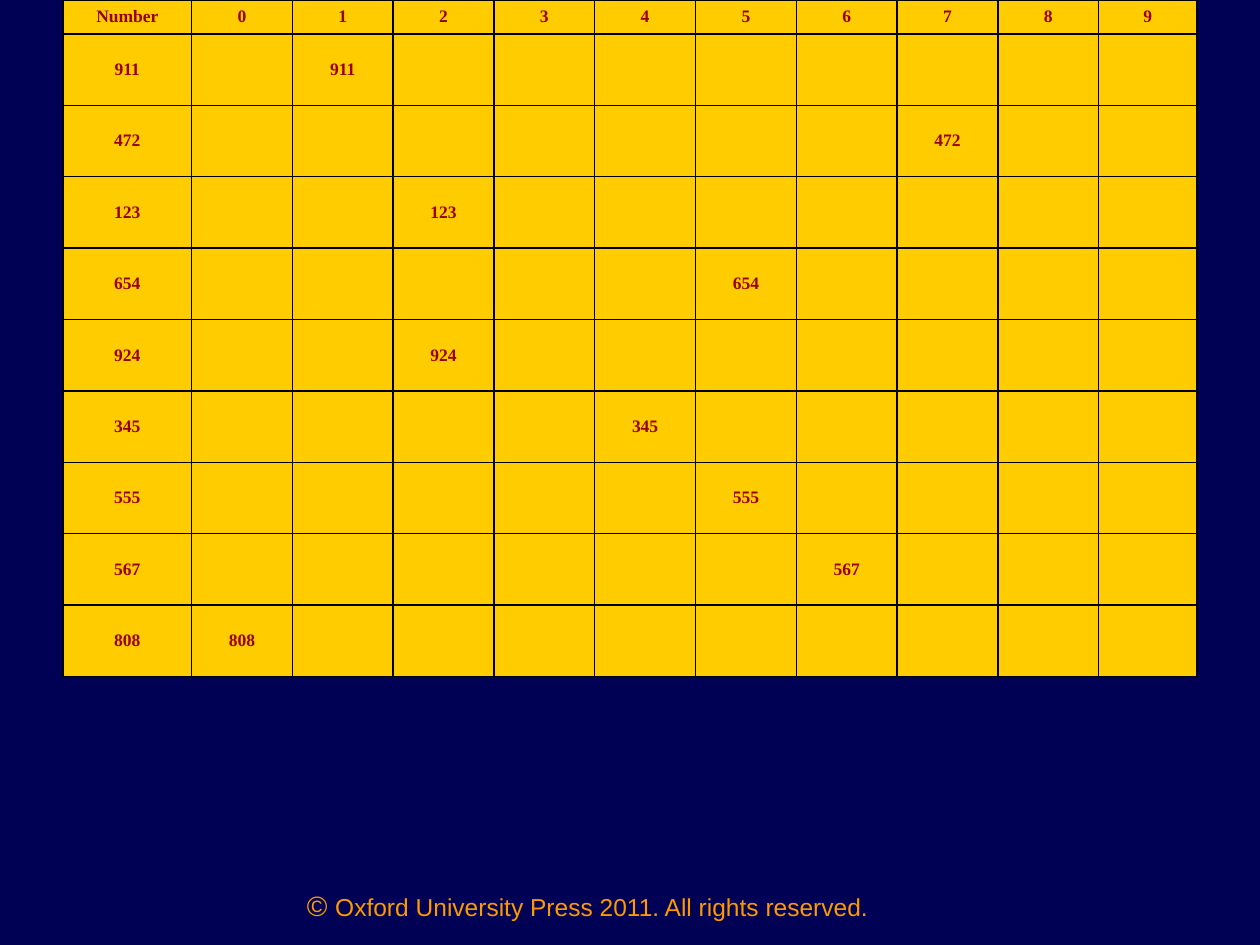
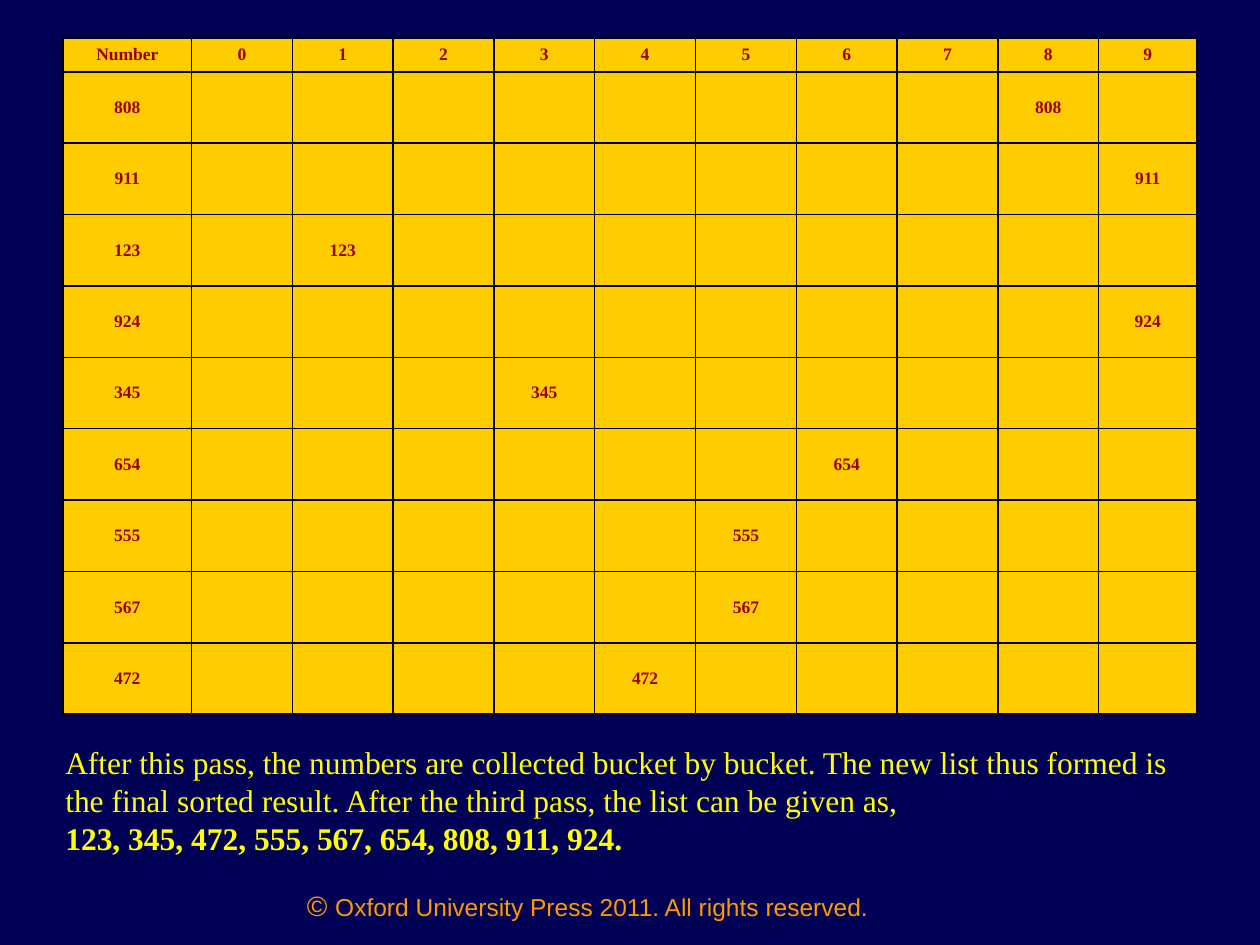
"""Build two radix sort slides, each showing one pass over the number list."""
from dataclasses import dataclass

from lxml.etree import SubElement
from pptx import Presentation
from pptx.dml.color import RGBColor
from pptx.enum.text import MSO_ANCHOR, MSO_AUTO_SIZE, PP_ALIGN
from pptx.oxml.ns import qn
from pptx.util import Inches, Pt


@dataclass(frozen=True)
class TextStyle:
    size: int
    font: str
    color: str
    bold: bool = False


@dataclass(frozen=True)
class Theme:
    background: str = "000055"
    cell_fill: str = "FFCC00"
    border: str = "000000"
    border_width: int = 1
    cell: TextStyle = TextStyle(10, "Times New Roman", "990000", True)
    body: TextStyle = TextStyle(18, "Times New Roman", "FFFF00")
    result: TextStyle = TextStyle(18, "Times New Roman", "FFFF00", True)
    copyright_sign: TextStyle = TextStyle(16, "Arial", "FF9900")
    footer: TextStyle = TextStyle(14, "Arial", "FF9900")


@dataclass(frozen=True)
class SortPass:
    numbers: list
    digit: int
    top: float


THEME = Theme()
HEADERS = ["Number", *map(str, range(10))]
COLUMN_WIDTHS = [1.02] + [0.8] * 9 + [0.78]
TABLE_HEIGHT, HEADER_HEIGHT = 5.37, 0.27
HANGING_INDENT = Inches(0.38)
TENS, HUNDREDS = 1, 0
NUMBERS = ["911", "472", "123", "654", "924", "345", "555", "567", "808"]
SUMMARY = (
    "After this pass, the numbers are collected bucket by bucket. "
    "The new list thus formed is the final sorted result. "
    "After the third pass, the list can be given as,"
)
RESULT = "123, 345, 472, 555, 567, 654, 808, 911, 924."


def add_run(p, text: str, style: TextStyle) -> None:
    r = p.add_run()
    r.text = text
    r.font.size = Pt(style.size)
    r.font.name = style.font
    r.font.bold = style.bold
    r.font.color.rgb = RGBColor.from_string(style.color)


def add_text_frame(s, left: float, top: float, width: float, height: float):
    sp = s.shapes.add_textbox(Inches(left), Inches(top), Inches(width), Inches(height))
    sp.text_frame.word_wrap = True
    return sp.text_frame


def add_footer(s) -> None:
    p = add_text_frame(s, 2, 7, 5.33, 0.33).paragraphs[0]
    p.alignment = PP_ALIGN.CENTER
    add_run(p, "© ", THEME.copyright_sign)
    add_run(p, "Oxford University Press 2011. All rights reserved.", THEME.footer)


def add_borders(cell) -> None:
    tc_pr = cell._tc.get_or_add_tcPr()
    for position, side in enumerate(("lnL", "lnR", "lnT", "lnB")):
        ln = SubElement(tc_pr, qn(f"a:{side}"), w=str(Pt(THEME.border_width)))
        fill = SubElement(ln, qn("a:solidFill"))
        SubElement(fill, qn("a:srgbClr"), val=THEME.border)
        tc_pr.insert(position, ln)


def format_cell(cell, text: str) -> None:
    cell.fill.solid()
    cell.fill.fore_color.rgb = RGBColor.from_string(THEME.cell_fill)
    cell.vertical_anchor = MSO_ANCHOR.MIDDLE
    add_borders(cell)
    if text:
        p = cell.text_frame.paragraphs[0]
        p.alignment = PP_ALIGN.CENTER
        p_pr = p._p.get_or_add_pPr()
        p_pr.set("marL", str(HANGING_INDENT))
        p_pr.set("indent", str(-HANGING_INDENT))
        add_run(p, text, THEME.cell)


def add_bucket_table(s, sort_pass: SortPass) -> None:
    rows = [HEADERS]
    for number in sort_pass.numbers:
        bucket = number[sort_pass.digit]
        rows.append([number] + [number if h == bucket else "" for h in HEADERS[1:]])
    table = s.shapes.add_table(
        len(rows), len(HEADERS), Inches(0.5), Inches(sort_pass.top),
        Inches(sum(COLUMN_WIDTHS)), Inches(TABLE_HEIGHT),
    ).table
    table.horz_banding = False
    for column, width in zip(table.columns, COLUMN_WIDTHS):
        column.width = Inches(width)
    row_height = Inches((TABLE_HEIGHT - HEADER_HEIGHT) / len(sort_pass.numbers))
    for i, (row, texts) in enumerate(zip(table.rows, rows)):
        row.height = row_height if i else Inches(HEADER_HEIGHT)
        for cell, text in zip(row.cells, texts):
            format_cell(cell, text)


def add_summary(s) -> None:
    tf = add_text_frame(s, 0.42, 5.85, 9.17, 1)
    tf.vertical_anchor = MSO_ANCHOR.MIDDLE
    tf.auto_size = MSO_AUTO_SIZE.SHAPE_TO_FIT_TEXT
    add_run(tf.paragraphs[0], SUMMARY, THEME.body)
    add_run(tf.add_paragraph(), RESULT, THEME.result)


def add_pass_slide(prs, sort_pass: SortPass):
    s = prs.slides.add_slide(prs.slide_layouts[6])
    s.background.fill.solid()
    s.background.fill.fore_color.rgb = RGBColor.from_string(THEME.background)
    add_footer(s)
    add_bucket_table(s, sort_pass)
    return s


def main() -> None:
    prs = Presentation()
    prs.slide_width, prs.slide_height = Inches(10), Inches(7.5)
    add_pass_slide(prs, SortPass(NUMBERS, TENS, 0))
    collected = sorted(NUMBERS, key=lambda number: number[TENS])
    add_summary(add_pass_slide(prs, SortPass(collected, HUNDREDS, 0.3)))
    prs.save("out.pptx")


if __name__ == "__main__":
    main()
